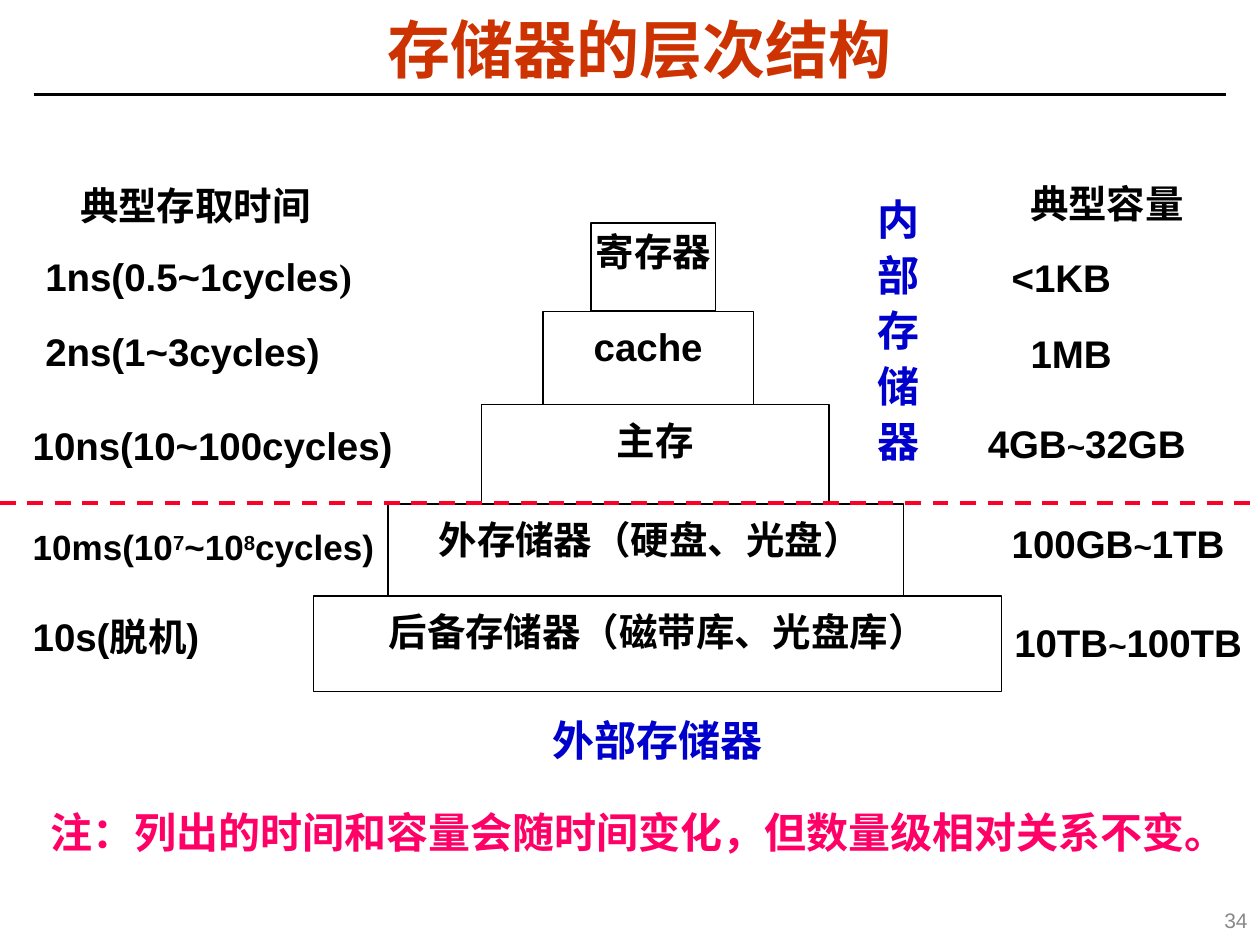
from lxml.etree import SubElement
from pptx import Presentation
from pptx.dml.color import RGBColor
from pptx.enum.dml import MSO_LINE
from pptx.enum.shapes import MSO_CONNECTOR, MSO_SHAPE
from pptx.enum.text import MSO_ANCHOR, PP_ALIGN
from pptx.oxml.ns import qn
from pptx.util import Inches, Pt

BLACK, WHITE, BLUE = "000000", "FFFFFF", "0000CC"
SERIF = "Times New Roman"
PADDED, SIDES, NONE = (0.13, 0.06), (0.13, 0), (0, 0)
CENTER, JUSTIFY = PP_ALIGN.CENTER, PP_ALIGN.JUSTIFY

# Memory levels: text, (left, top, width, height), insets
LEVELS = [
    ("cache", (4.31, 2.47, 1.67, 0.76), PADDED),
    ("主存", (3.82, 3.21, 2.76, 0.79), PADDED),
    (" 外存储器（硬盘、光盘）", (3.08, 4, 4.09, 0.76), PADDED),
    ("后备存储器（磁带库、光盘库）", (2.49, 4.73, 5.46, 0.76), PADDED),
    ("寄存器", (4.69, 1.77, 0.99, 0.7), NONE),
]

HEADINGS = [
    ("典型存取时间", (0.31, 1.41, 2.48, 0.71)),
    ("典型容量", (7.9, 1.39, 1.77, 0.71)),
]

# Access times: spans of (text, changes), left, top, width, size
TIMES = [
    ([("1ns(0.5~1cycles", {}), (")", {"name": SERIF})], 0.23, 1.97, 2.85, 22),
    ([("2ns(1~3cycles)", {})], 0.23, 2.57, 3.4, 22),
    ([("10ns(10~100cycles)", {})], 0.13, 3.31, 3.2, 22),
    ([("10ms(10", {}), ("7", {"raised": True}), ("~10", {}),
      ("8", {"raised": True}), ("cycles)", {})], 0.13, 4.14, 3.35, 20),
    ([("10s(脱机)", {})], 0.13, 4.83, 2.07, 22),
]

# Capacities: low and high end, left, top, width, insets
CAPACITIES = [
    (["<1KB"], 7.9, 1.98, 1.67, SIDES),
    (["1MB"], 8.05, 2.58, 1.67, SIDES),
    (["4GB", "32GB"], 7.71, 3.3, 2.23, SIDES),
    (["100GB", "1TB"], 7.9, 4.09, 2.1, SIDES),
    (["10TB", "100TB"], 8.05, 4.88, 1.92, NONE),
]

REGIONS = [
    ("内部存储器", (6.77, 1.44, 0.72, 2.36)),
    ("外部存储器", (4.06, 5.57, 2.31, 1.07)),
]


def color(value):
    return RGBColor.from_string(value)


def style(span, size, fill, name="Arial", bold=True, raised=False):
    span.font.size = Pt(size)
    span.font.name = name
    span.font.bold = bold
    span.font.color.rgb = color(fill)
    if raised:
        span._r.get_or_add_rPr().set("baseline", "30000")


def write(box, spans, size=22, fill=BLACK, align=CENTER, insets=SIDES,
          spacing=1.1, anchor=MSO_ANCHOR.TOP, **font):
    """Fill a shape with one paragraph of text or of (text, changes) spans."""
    frame = box.text_frame
    frame.word_wrap = True
    frame.vertical_anchor = anchor
    frame.margin_left = frame.margin_right = Inches(insets[0])
    frame.margin_top = frame.margin_bottom = Inches(insets[1])
    para = frame.paragraphs[0]
    para.alignment = align
    para.line_spacing = spacing
    if isinstance(spans, str):
        spans = [(spans, {})]
    for text, changes in spans:
        span = para.add_run()
        span.text = text
        style(span, **{"size": size, "fill": fill, **font, **changes})


def add_text(page, spans, place, **options):
    box = page.shapes.add_textbox(*map(Inches, place))
    write(box, spans, **options)


def add_level(page, text, place, insets):
    box = page.shapes.add_shape(MSO_SHAPE.RECTANGLE, *map(Inches, place))
    box.shadow.inherit = False
    box.fill.solid()
    box.fill.fore_color.rgb = color(WHITE)
    box.line.color.rgb = color(BLACK)
    box.line.width = Pt(0.75)
    write(box, text, insets=insets)


def add_rule(page, left, right, top, fill, width, dash=None):
    rule = page.shapes.add_connector(
        MSO_CONNECTOR.STRAIGHT, Inches(left), Inches(top), Inches(right), Inches(top))
    rule.line.color.rgb = color(fill)
    rule.line.width = Pt(width)
    if dash:
        rule.line.dash_style = dash
    SubElement(rule._element.spPr, qn("a:effectLst"))


def main():
    deck = Presentation()
    deck.slide_width, deck.slide_height = Inches(10), Inches(7.5)
    page = deck.slides.add_slide(deck.slide_layouts[6])

    add_rule(page, 0.27, 9.73, 0.75, BLACK, 1.5)
    add_text(page, "存储器的层次结构", (0.26, 0.12, 9.63, 0.62), size=36,
             fill="CC3300", insets=(0.1, 0.05), spacing=0.87, anchor=MSO_ANCHOR.MIDDLE)

    for text, place, insets in LEVELS:
        add_level(page, text, place, insets)
    add_rule(page, 0, 9.94, 3.99, "FC0128", 2.25, MSO_LINE.DASH)

    for text, place in REGIONS:
        add_text(page, text, place, size=24, fill=BLUE, name=SERIF, insets=PADDED)
    for text, place in HEADINGS:
        add_text(page, text, place)
    for spans, left, top, width, size in TIMES:
        add_text(page, spans, (left, top, width, 0.71), size=size, align=JUSTIFY)
    for ends, left, top, width, insets in CAPACITIES:
        spans = [(ends[0], {})]
        for end in ends[1:]:
            spans += [("~", {"size": 18}), (end, {})]
        add_text(page, spans, (left, top, width, 0.71), align=JUSTIFY, insets=insets)

    add_text(page, "注：列出的时间和容量会随时间变化，但数量级相对关系不变。",
             (0.4, 6.4, 9.28, 0.4), size=24, fill="FF0066",
             align=PP_ALIGN.LEFT, insets=NONE, spacing=1.0)
    add_text(page, "34", (7.75, 7.1, 2.25, 0.4), size=12, fill="898989", bold=False,
             align=PP_ALIGN.RIGHT, insets=(0.1, 0.05), spacing=1.0,
             anchor=MSO_ANCHOR.MIDDLE)
    deck.save("out.pptx")


if __name__ == "__main__":
    main()
